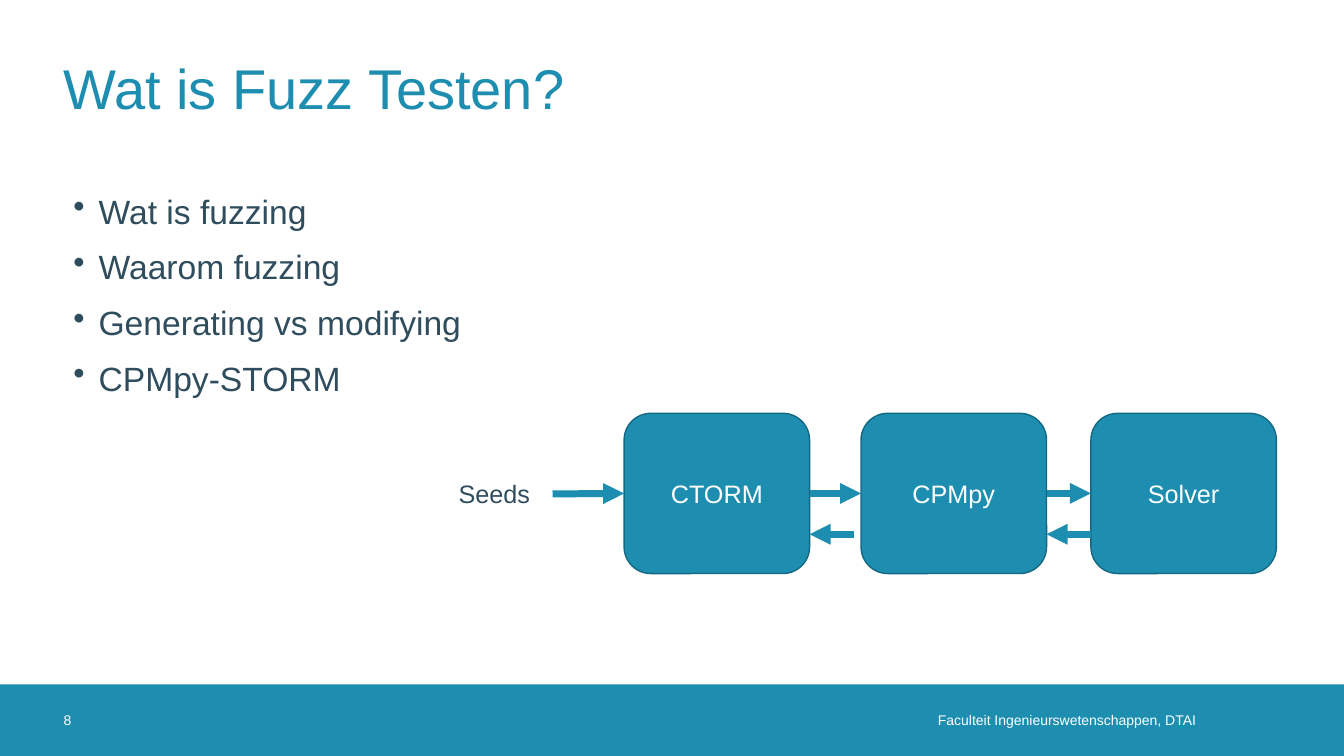
from dataclasses import dataclass
from typing import Any, Optional

import pptx
import pptx.dml.color
import pptx.enum.shapes
import pptx.enum.text
import pptx.oxml
import pptx.oxml.ns
import pptx.util

Inches = pptx.util.Inches
Pt = pptx.util.Pt
Align = pptx.enum.text.PP_ALIGN
Anchor = pptx.enum.text.MSO_ANCHOR
Shape = pptx.enum.shapes.MSO_SHAPE
RIGHT, LEFT = 3, 1


@dataclass(frozen=True)
class Theme:
    font: str = "Arial"
    blue: str = "1D8DB0"
    edge: str = "156882"
    ink: str = "2F4D5D"
    white: str = "FFFFFF"
    title: int = 40
    body: int = 24
    label: int = 18
    foot: int = 10


@dataclass(frozen=True)
class Label:
    text: str
    left: float
    top: float
    width: float
    height: float
    size: int
    color: str
    align: Any = Align.LEFT
    anchor: Any = Anchor.MIDDLE
    inset: tuple = (0, 0, 0, 0)


@dataclass(frozen=True)
class Stage:
    name: str
    left: float


@dataclass(frozen=True)
class Arrow:
    start: tuple
    end: tuple
    source: Optional[str] = None
    target: Optional[str] = None


THEME = Theme()
BOX_TOP, BOX_W, BOX_H = 4.1, 1.84, 1.59
MID = BOX_TOP + BOX_H / 2
BACK = 5.3
BAR_TOP, BAR_H = 6.79, 0.71

LABELS = [
    Label("Faculteit Ingenieurswetenschappen, DTAI", 6.6, BAR_TOP, 5.46, BAR_H,
          THEME.foot, THEME.white, Align.RIGHT, inset=(0, 0, 0.2, 0)),
    Label("8", 0.63, BAR_TOP, 0.71, BAR_H, THEME.foot, THEME.white),
    Label("Wat is Fuzz Testen?", 0.63, 0.23, 12.07, 1.26, THEME.title, THEME.blue),
    Label("Seeds", 4.45, 4.7, 1.03, 0.4, THEME.label, THEME.ink,
          anchor=Anchor.TOP, inset=(0.1, 0.05, 0.1, 0.05)),
]
TOPICS = Label(
    "Wat is fuzzing\nWaarom fuzzing\nGenerating vs modifying\nCPMpy-STORM",
    0.63, 1.81, 11.97, 4.88, THEME.body, THEME.ink,
    anchor=Anchor.TOP, inset=(0.1, 0.08, 0.1, 0.05))
STAGES = [Stage("CTORM", 6.19), Stage("CPMpy", 8.54), Stage("Solver", 10.82)]
ARROWS = [
    Arrow((5.48, 4.9), (6.19, MID), target="CTORM"),
    Arrow((8.03, MID), (8.54, MID), "CTORM", "CPMpy"),
    Arrow((10.38, MID), (10.82, MID), "CPMpy", "Solver"),
    Arrow((10.82, BACK), (10.38, BACK)),
    Arrow((8.47, BACK), (8.03, BACK)),
]


def rgb(color: str) -> Any:
    return pptx.dml.color.RGBColor.from_string(color)


def style(part: Any, size: int, color: str) -> None:
    for run in part.runs:
        run.font.name = THEME.font
        run.font.size = Pt(size)
        run.font.color.rgb = rgb(color)


def add_label(slide: Any, label: Label) -> Any:
    place = map(Inches, (label.left, label.top, label.width, label.height))
    frame = slide.shapes.add_textbox(*place).text_frame
    frame.word_wrap = True
    frame.vertical_anchor = label.anchor
    (frame.margin_left, frame.margin_top,
     frame.margin_right, frame.margin_bottom) = map(Inches, label.inset)
    frame.text = label.text
    for part in frame.paragraphs:
        part.alignment = label.align
        style(part, label.size, label.color)
    return frame


def add_topics(slide: Any) -> None:
    for index, part in enumerate(add_label(slide, TOPICS).paragraphs):
        props = part._p.get_or_add_pPr()
        props.set("marL", str(Inches(0.25)))
        props.set("indent", str(-Inches(0.25)))
        bullet = pptx.oxml.parse_xml(
            f'<a:buChar {pptx.oxml.ns.nsdecls("a")} char="•"/>')
        props.append(bullet)
        if index:
            part.space_before = Pt(11)


def add_box(slide: Any, kind: Any, left: float, top: float,
            width: float, height: float) -> Any:
    box = slide.shapes.add_shape(kind, *map(Inches, (left, top, width, height)))
    box.shadow.inherit = False
    box.fill.solid()
    box.fill.fore_color.rgb = rgb(THEME.blue)
    box.line.fill.background()
    return box


def add_stage(slide: Any, stage: Stage) -> Any:
    box = add_box(slide, Shape.ROUNDED_RECTANGLE, stage.left, BOX_TOP, BOX_W, BOX_H)
    box.line.color.rgb = rgb(THEME.edge)
    box.line.width = Pt(1)
    frame = box.text_frame
    frame.text = stage.name
    frame.vertical_anchor = Anchor.MIDDLE
    part = frame.paragraphs[0]
    part.alignment = Align.CENTER
    style(part, THEME.label, THEME.white)
    return box


def add_arrow(slide: Any, arrow: Arrow, boxes: dict) -> None:
    link = slide.shapes.add_connector(
        pptx.enum.shapes.MSO_CONNECTOR.STRAIGHT,
        *map(Inches, arrow.start + arrow.end))
    if arrow.source:
        link.begin_connect(boxes[arrow.source], RIGHT)
    if arrow.target:
        link.end_connect(boxes[arrow.target], LEFT)
    link.line.color.rgb = rgb(THEME.blue)
    link.line.width = Pt(5)
    names = pptx.oxml.ns.nsdecls("a")
    link.line._get_or_add_ln().append(
        pptx.oxml.parse_xml(f'<a:tailEnd {names} type="triangle"/>'))
    link._element.spPr.append(pptx.oxml.parse_xml(f"<a:effectLst {names}/>"))


def main() -> None:
    deck = pptx.Presentation()
    deck.slide_width, deck.slide_height = Inches(13.33), Inches(7.5)
    slide = deck.slides.add_slide(deck.slide_layouts[6])
    add_box(slide, Shape.RECTANGLE, 0, BAR_TOP, 13.33, BAR_H)
    for label in LABELS:
        add_label(slide, label)
    add_topics(slide)
    boxes = {stage.name: add_stage(slide, stage) for stage in STAGES}
    for arrow in ARROWS:
        add_arrow(slide, arrow, boxes)
    deck.save("out.pptx")


if __name__ == "__main__":
    main()
